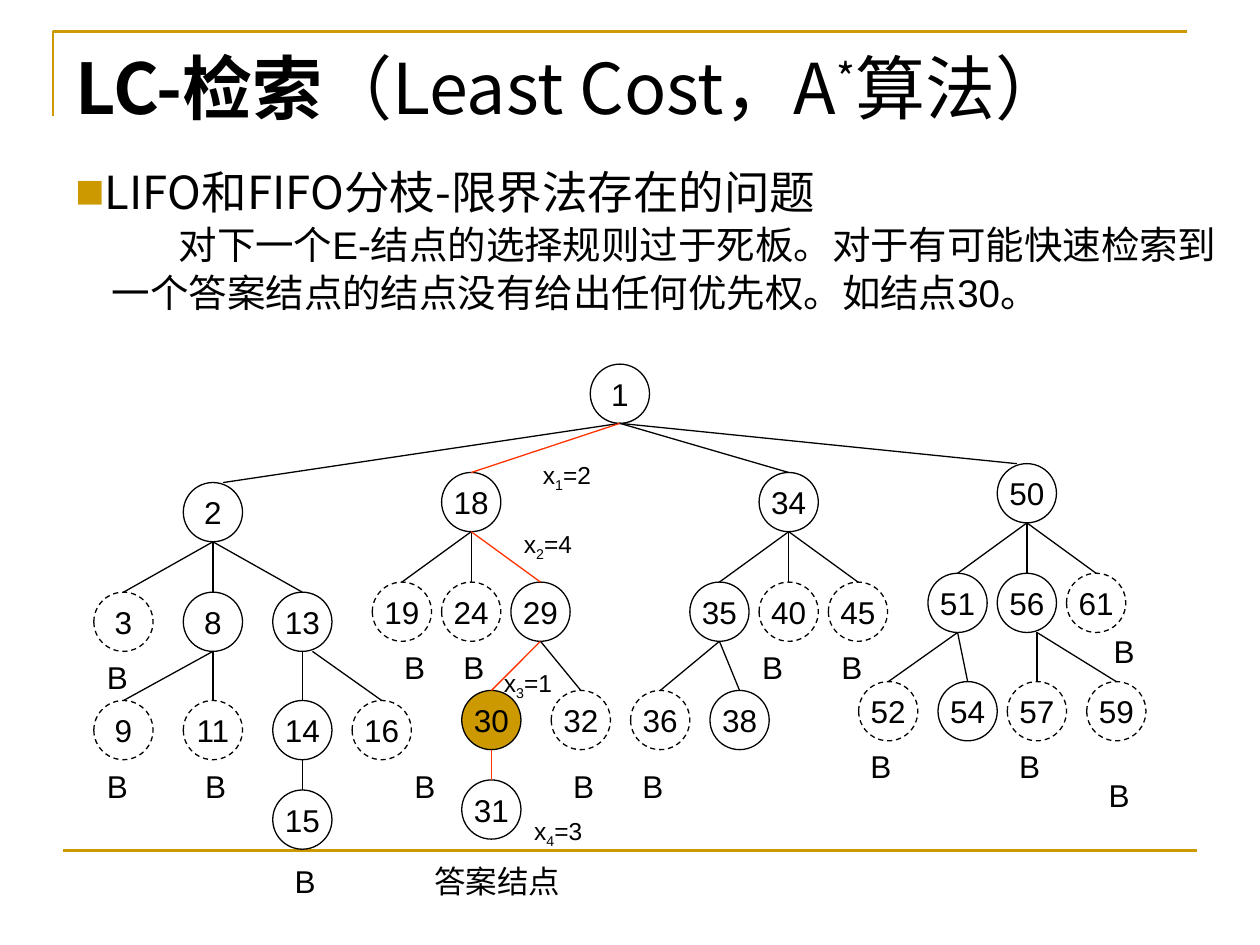
from lxml.etree import SubElement
from pptx import Presentation
from pptx.dml.color import RGBColor
from pptx.enum.dml import MSO_LINE
from pptx.enum.shapes import MSO_CONNECTOR, MSO_SHAPE
from pptx.enum.text import MSO_ANCHOR, MSO_AUTO_SIZE, PP_ALIGN
from pptx.oxml.ns import qn
from pptx.util import Inches, Pt

BLACK = RGBColor(0x00, 0x00, 0x00)
GOLD = RGBColor(0xCC, 0x99, 0x00)
RED = RGBColor(0xFF, 0x33, 0x00)
CJK = "Noto Sans CJK SC"

TITLE = [("LC-检索", {"bold": True}), "（Least Cost，A", ("*", {"baseline": 30}), "算法）"]
HEADING = "LIFO和FIFO分枝-限界法存在的问题"
DETAIL = ("对下一个E-结点的选择规则过于死板。对于有可能快速检索到一个答案结点的结点"
          "没有给出任何优先权。如结点30。")

DIAMETER = 0.47
ROOT = (1, 4.92, 2.89)
LEVEL_DROP = [0, 0.87, 1.73, 2.44]
SUBTREES = [
    (3.83, [[(2, 1.69, 1)],
            [(3, 0.98, 2), (8, 1.69, 2), (13, 2.4, 2)],
            [(9, 0.98, 8), (11, 1.69, 8), (14, 2.4, 13), (16, 3.03, 13)],
            [(15, 2.4, 14)]]),
    (3.75, [[(18, 3.74, 1)],
            [(19, 3.19, 18), (24, 3.74, 18), (29, 4.29, 18)],
            [(30, 3.9, 29), (32, 4.61, 29)],
            [(31, 3.9, 30)]]),
    (3.75, [[(34, 6.26, 1)],
            [(35, 5.71, 34), (40, 6.26, 34), (45, 6.81, 34)],
            [(36, 5.24, 35), (38, 5.87, 35)]]),
    (3.68, [[(50, 8.15, 1)],
            [(51, 7.6, 50), (56, 8.15, 50), (61, 8.7, 50)],
            [(52, 7.05, 51), (54, 7.68, 51), (57, 8.23, 56), (59, 8.86, 56)]]),
]
BOUNDED = {3, 9, 11, 16, 19, 24, 32, 36, 40, 45, 52, 57, 59, 61}
ANSWER_PATH = {18, 29, 30, 31}
START_SHIFT = {16: 0.08, 57: 0.08, 59: 0.08}
END_SHIFT = {2: 0.08, 50: -0.08}

BOUND_MARKS = [
    (0.75, 5.17), (3.11, 5.09), (3.58, 5.09), (5.95, 5.09), (6.58, 5.09), (8.74, 4.97),
    (0.75, 6.04), (1.53, 6.04), (3.19, 6.04), (4.45, 6.04), (5, 6.04),
    (6.81, 5.88), (7.99, 5.88), (8.7, 6.11), (2.24, 6.79),
]
CHOICES = [("1", "=2", 4.21, 3.6), ("2", "=4", 4.06, 4.15),
           ("3", "=1", 3.9, 5.25), ("4", "=3", 4.14, 6.43)]


def write(p, runs, size=18, font="Arial", align=PP_ALIGN.LEFT):
    p.alignment = align
    for item in [runs] if isinstance(runs, str) else runs:
        text, fmt = (item, {}) if isinstance(item, str) else item
        r = p.add_run()
        r.text = text
        r.font.size = Pt(size)
        r.font.name = font
        r.font.bold = fmt.get("bold", False)
        r.font.color.rgb = BLACK
        rPr = r._r.get_or_add_rPr()
        SubElement(rPr, qn("a:ea")).set("typeface", CJK)
        if "baseline" in fmt:
            rPr.set("baseline", str(fmt["baseline"] * 1000))


def add_line(s, x1, y1, x2, y2, color=BLACK, width=0.75):
    line = s.shapes.add_connector(MSO_CONNECTOR.STRAIGHT, *map(Inches, (x1, y1, x2, y2)))
    line.line.color.rgb = color
    line.line.width = Pt(width)
    SubElement(line._element.spPr, qn("a:effectLst"))


def add_label(s, runs, x, y, w, h, **fmt):
    tf = s.shapes.add_textbox(*map(Inches, (x, y, w, h))).text_frame
    tf.word_wrap = True
    tf.auto_size = MSO_AUTO_SIZE.SHAPE_TO_FIT_TEXT
    write(tf.paragraphs[0], runs, **fmt)


def add_node(s, number, cx, top):
    sp = s.shapes.add_shape(MSO_SHAPE.OVAL, Inches(cx - DIAMETER / 2), Inches(top),
                            Inches(DIAMETER), Inches(DIAMETER))
    sp.shadow.inherit = False
    if number == 30:
        sp.fill.solid()
        sp.fill.fore_color.rgb = GOLD
    else:
        sp.fill.background()
    sp.line.color.rgb = BLACK
    sp.line.width = Pt(0.75)
    if number in BOUNDED:
        sp.line.dash_style = MSO_LINE.DASH
    tf = sp.text_frame
    tf.word_wrap = False
    tf.vertical_anchor = MSO_ANCHOR.MIDDLE
    write(tf.paragraphs[0], str(number), align=PP_ALIGN.CENTER)


def add_frame(s):
    builder = s.shapes.build_freeform(Inches(0.42), Inches(0.92))
    builder.add_line_segments([(Inches(0.42), Inches(0.25)), (Inches(9.42), Inches(0.25))],
                              close=False)
    sp = builder.convert_to_shape()
    sp.shadow.inherit = False
    sp.fill.background()
    sp.line.color.rgb = GOLD
    sp.line.width = Pt(1.5)
    add_line(s, 0.5, 6.75, 9.5, 6.75, GOLD, 1.5)


def add_title(s):
    sp = s.shapes.title
    sp.left, sp.top, sp.width, sp.height = map(Inches, (0.5, 0.3, 9, 1.25))
    tf = sp.text_frame
    tf.auto_size = MSO_AUTO_SIZE.NONE
    tf.vertical_anchor = MSO_ANCHOR.TOP
    write(tf.paragraphs[0], TITLE, size=40, font=CJK)


def add_body(s):
    tf = s.shapes.add_textbox(*map(Inches, (0.5, 1.23, 9.3, 1.34))).text_frame
    tf.word_wrap = True
    heading, detail = tf.paragraphs[0], tf.add_paragraph()
    detail.level = 1
    for p, margin, indent in ((heading, 0.1, -0.1), (detail, 0.29, 0.53)):
        p.line_spacing = 1.05
        pPr = p._p.get_or_add_pPr()
        pPr.set("marL", str(Inches(margin)))
        pPr.set("indent", str(Inches(indent)))
    pPr = heading._p.get_or_add_pPr()
    SubElement(SubElement(pPr, qn("a:buClr")), qn("a:srgbClr")).set("val", str(GOLD))
    SubElement(pPr, qn("a:buSzPct")).set("val", "65000")
    SubElement(pPr, qn("a:buFont")).set("typeface", CJK)
    SubElement(pPr, qn("a:buChar")).set("char", "■")
    write(heading, HEADING, size=26, font=CJK)
    write(detail, DETAIL, size=22)


def add_tree(s):
    number, cx, top = ROOT
    add_node(s, number, cx, top)
    bottoms = {number: (cx, top + DIAMETER)}
    for base, levels in SUBTREES:
        for drop, level in zip(LEVEL_DROP, levels):
            top = base + drop
            for number, cx, parent in level:
                add_node(s, number, cx, top)
                bottoms[number] = (cx, top + DIAMETER)
                px, py = bottoms[parent]
                add_line(s, px + START_SHIFT.get(number, 0), py,
                         cx + END_SHIFT.get(number, 0), top,
                         RED if number in ANSWER_PATH else BLACK)


def main():
    """Build the least-cost search slide with its state-space tree."""
    prs = Presentation()
    prs.slide_width, prs.slide_height = Inches(10), Inches(7.5)
    s = prs.slides.add_slide(prs.slide_layouts[5])
    add_frame(s)
    add_title(s)
    add_body(s)
    add_tree(s)
    for x, y in BOUND_MARKS:
        add_label(s, "B", x, y, 0.71, 0.4)
    add_label(s, "答案结点", 3.35, 6.79, 1.26, 0.4)
    for index, value, x, y in CHOICES:
        add_label(s, ["x", (index, {"baseline": -25}), value], x, y, 0.79, 0.33, size=14)
    prs.save("out.pptx")


if __name__ == "__main__":
    main()
